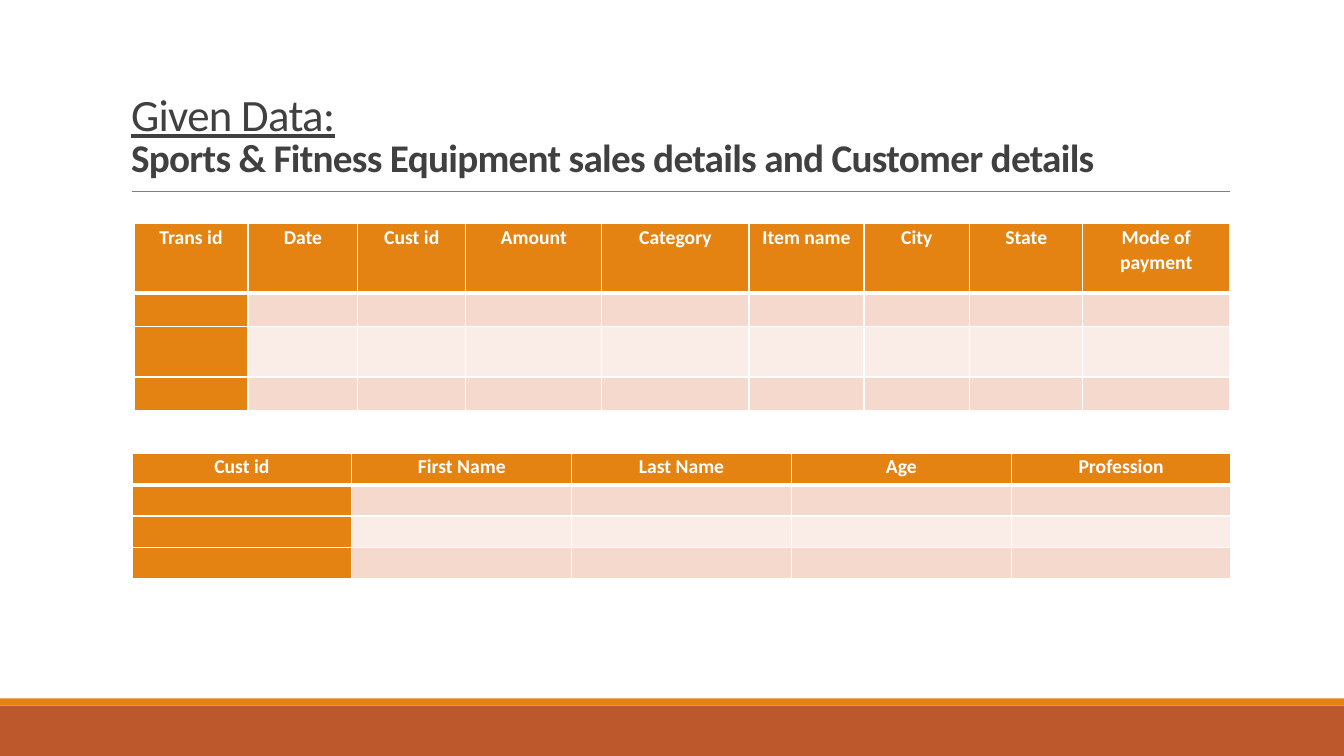
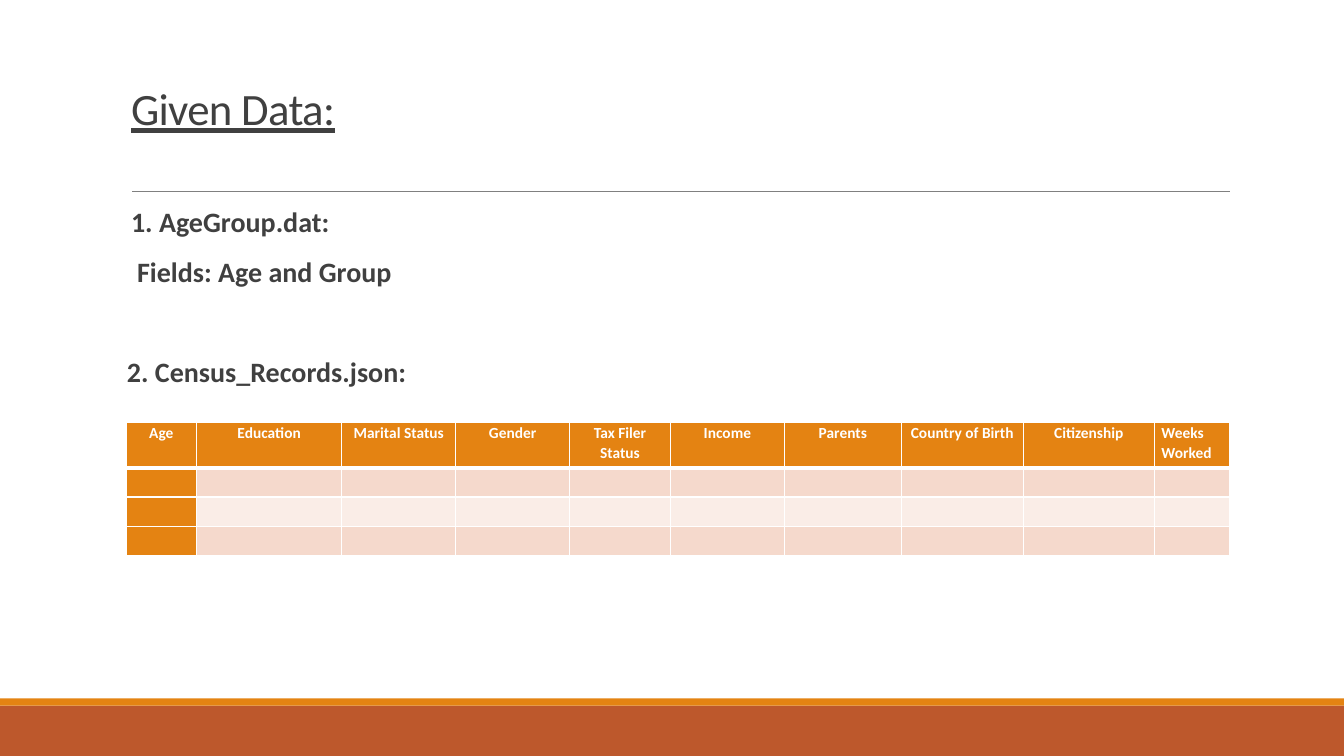
from lxml.etree import SubElement
from pptx import Presentation
from pptx.dml.color import RGBColor
from pptx.enum.shapes import MSO_CONNECTOR, MSO_SHAPE
from pptx.enum.text import MSO_ANCHOR, MSO_AUTO_SIZE, PP_ALIGN
from pptx.oxml import parse_xml
from pptx.oxml.ns import nsdecls, qn
from pptx.util import Inches, Pt

COLORS = {
    "text": "404040",
    "accent": "E48312",
    "footer": "BD582C",
    "rule": "808080",
    "white": "FFFFFF",
    "band_dark": "F5D9CC",
    "band_light": "FAEDE7",
}
RGB = {name: RGBColor.from_string(value) for name, value in COLORS.items()}
FONT = "Calibri"
WIDTH, HEIGHT = 13.33, 7.5
TEXT_LEFT, TEXT_WIDTH = 1.2, 11
RULE_LEFT, RULE_RIGHT, RULE_TOP = 1.31, 12.2, 1.9

deck = Presentation()
deck.slide_width, deck.slide_height = Inches(WIDTH), Inches(HEIGHT)
title_only = deck.slide_layouts[5]


def add_titled_slide(lines, bottom_inset):
    """Add a slide whose title lines are (text, size, underlined, bold)."""
    slide = deck.slides.add_slide(title_only)
    title = slide.shapes.title
    title.left, title.top = Inches(TEXT_LEFT), Inches(0.79)
    title.width, title.height = Inches(TEXT_WIDTH), Inches(1.59)
    frame = title.text_frame
    frame.word_wrap = True
    frame.auto_size = MSO_AUTO_SIZE.NONE
    frame.vertical_anchor = MSO_ANCHOR.BOTTOM
    frame.margin_bottom = Inches(bottom_inset)
    frame.text = "\n".join(text for text, *_ in lines)
    for paragraph, (_, size, underlined, bold) in zip(frame.paragraphs, lines):
        paragraph.alignment = PP_ALIGN.LEFT
        paragraph.line_spacing = 0.85
        font = paragraph.font
        font.name, font.size = FONT, Pt(size)
        font.underline, font.bold = underlined, bold
        font.color.rgb = RGB["text"]
        paragraph.runs[0].font._element.set("spc", "-50")
    return slide


def add_field_table(slide, left, top, fields, widths, heights, size):
    """Add a table with a header row of field names and empty rows below."""
    table = slide.shapes.add_table(
        len(heights), len(fields), Inches(left), Inches(top),
        Inches(sum(widths)), Inches(sum(heights))).table
    for column, width in zip(table.columns, widths):
        column.width = Inches(width)
    for r, height in enumerate(heights):
        table.rows[r].height = Inches(height)
        for c, field in enumerate(fields):
            cell = table.cell(r, c)
            cell.margin_left = cell.margin_right = Inches(0.07)
            cell.margin_top = cell.margin_bottom = 0
            band = "band_dark" if r % 2 else "band_light"
            cell.fill.solid()
            cell.fill.fore_color.rgb = RGB["accent" if r == 0 or c == 0 else band]

            # White borders, thick below the header
            borders = {"lnL": 1, "lnR": 1, "lnT": 3 if r == 1 else 1,
                       "lnB": 3 if r == 0 else 1}
            for position, (side, weight) in enumerate(borders.items()):
                cell._tc.get_or_add_tcPr().insert(position, parse_xml(
                    f'<a:{side} {nsdecls("a")} w="{Pt(weight)}"><a:solidFill>'
                    f'<a:srgbClr val="{COLORS["white"]}"/></a:solidFill></a:{side}>'))

            if r == 0:
                cell.text = field
                paragraph = cell.text_frame.paragraphs[0]
                paragraph.alignment = PP_ALIGN.CENTER
                paragraph.line_spacing = 1.07
                font = paragraph.font
                font.name, font.size, font.bold = FONT, Pt(size), True
                font.color.rgb = RGB["white"]
            else:
                SubElement(cell.text_frame.paragraphs[0]._p,
                           qn("a:endParaRPr"), sz=str(size * 100))
    return table


# Slide 1: sales and customer fields
sales = add_titled_slide(
    [("Given Data:", 32, True, False),
     ("Sports & Fitness Equipment sales details and Customer details",
      28, False, True)],
    bottom_inset=0.59)

# Shared bands and title rule, kept on the layout
furniture = []
for color, top, height in (("footer", 7, 0.5), ("accent", 6.93, 0.07)):
    band = sales.shapes.add_shape(
        MSO_SHAPE.RECTANGLE, 0, Inches(top), Inches(WIDTH), Inches(height))
    band.shadow.inherit = False
    band.fill.solid()
    band.fill.fore_color.rgb = RGB[color]
    band.line.fill.background()
    furniture.append(band)
rule = sales.shapes.add_connector(
    MSO_CONNECTOR.STRAIGHT, Inches(RULE_LEFT), Inches(RULE_TOP),
    Inches(RULE_RIGHT), Inches(RULE_TOP))
rule.line.color.rgb = RGB["rule"]
rule.line.width = Pt(0.5)
SubElement(rule._element.spPr, qn("a:effectLst"))
furniture.append(rule)
for number, part in enumerate(furniture):
    part.element.xpath(".//p:cNvPr")[0].set("id", str(100 + number))
    title_only.shapes.element.insert(2 + number, part.element)

add_field_table(
    sales, 1.33, 2.22,
    ["Trans id", "Date", "Cust id", "Amount", "Category", "Item name",
     "City", "State", "Mode of payment"],
    [1.13, 1.09, 1.07, 1.35, 1.46, 1.14, 1.05, 1.12, 1.46],
    [0.69, 0.33, 0.5, 0.33], size=14)
add_field_table(
    sales, RULE_LEFT, 4.5,
    ["Cust id", "First Name", "Last Name", "Age", "Profession"],
    [2.18] * 5, [0.31] * 4, size=14)

# Slide 2: census files
census = add_titled_slide([("Given Data:", 32, True, False)], bottom_inset=1.04)

files = census.shapes.add_textbox(
    Inches(TEXT_LEFT), Inches(2.02), Inches(TEXT_WIDTH), Inches(2.1)).text_frame
files.word_wrap = True
files.margin_left = files.margin_right = 0
file_lines = [  # text, indent, space before
    ("1. AgeGroup.dat:", 0.1, 0),
    ("Fields: Age and Group", 0.16, 12),
    ("2. Census_Records.json:", 0.06, 48),
]
files.text = "\n".join(text for text, *_ in file_lines)
for paragraph, (_, indent, before) in zip(files.paragraphs, file_lines):
    paragraph._p.get_or_add_pPr().set("marL", str(Inches(indent)))
    paragraph.line_spacing = 0.9
    paragraph.space_before, paragraph.space_after = Pt(before), Pt(2)
    font = paragraph.font
    font.name, font.size, font.bold = FONT, Pt(20), True
    font.color.rgb = RGB["text"]

records = add_field_table(
    census, 1.25, 4.19,
    ["Age", "Education", "Marital Status", "Gender", "Tax Filer Status",
     "Income", "Parents", "Country of Birth", "Citizenship", "Weeks Worked"],
    [0.7, 1.44, 1.13, 1.13, 1, 1.13, 1.16, 1.21, 1.3, 0.75],
    [0.45, 0.29, 0.29, 0.29], size=11)
records.cell(0, 9).text_frame.paragraphs[0].alignment = PP_ALIGN.JUSTIFY

deck.save("out.pptx")
